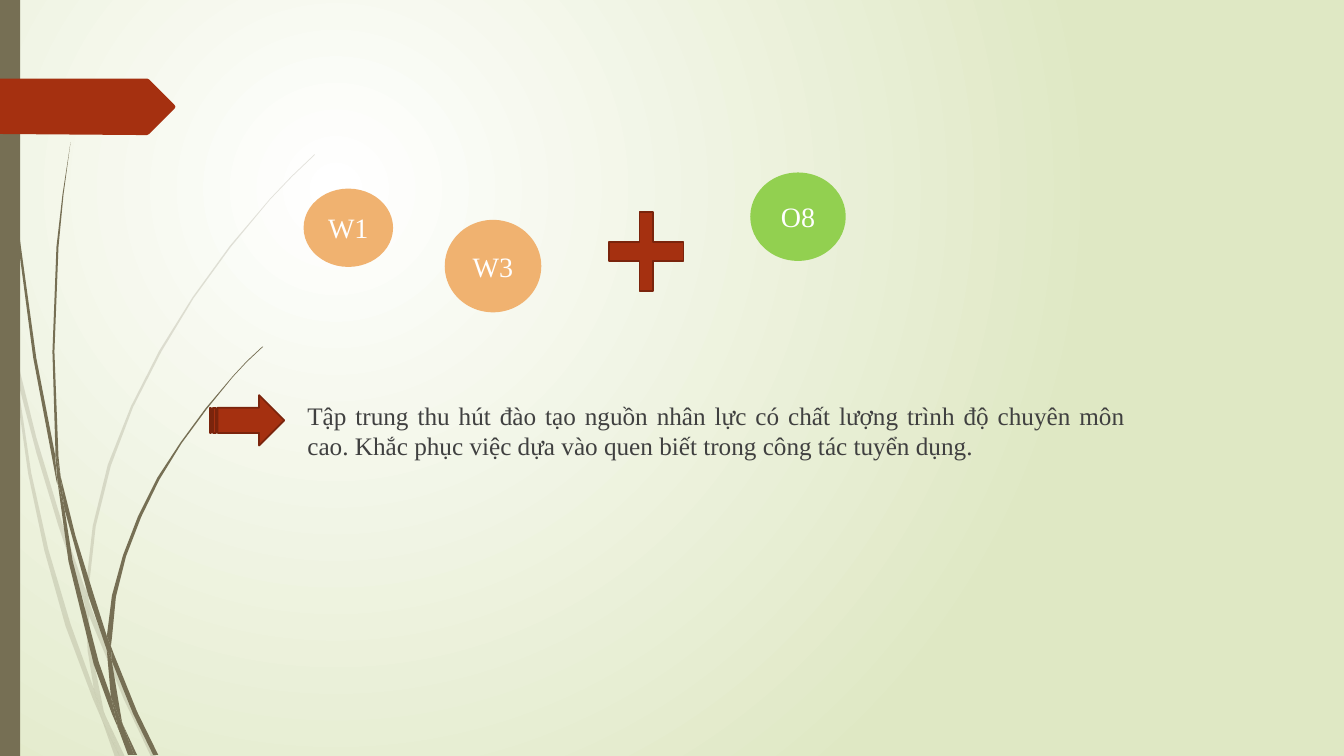
from lxml import etree
from pptx import Presentation
from pptx import util as u
from pptx.dml.color import RGBColor
from pptx.enum import shapes, text
from pptx.oxml.ns import qn

PX = 9144  # EMU in one px (100 px to the inch)
WIDTH, HEIGHT = 1333, 750
FONT = "Times New Roman"
COLORS = {
    "white": "FFFFFF", "sage": "DFE8C4", "olive": "766F54", "rust": "A53010",
    "dark rust": "7A240C", "orange": "F0B270", "green": "92D050", "ink": "404040",
}

STRATEGY = ("Tập trung thu hút đào tạo nguồn nhân lực có chất lượng trình độ "
            "chuyên môn cao. Khắc phục việc dựa vào quen biết trong công tác tuyển dụng.")
STRATEGY_BOX = (295, 392, 831, 114)

# kind, (left, top, width, height), fill, line, label
OVAL = shapes.MSO_SHAPE.OVAL
PLUS = shapes.MSO_SHAPE.CROSS
ARROW = shapes.MSO_SHAPE.STRIPED_RIGHT_ARROW
PLUS_ADJ = 0.41
SIGNS = [
    (OVAL, (442, 219, 94, 90), "orange", "orange", "W3"),
    (PLUS, (604, 210, 74, 79), "rust", "dark rust", ""),
    (OVAL, (302, 188, 87, 76), "orange", "orange", "W1"),
    (OVAL, (745, 172, 93, 86), "green", "green", "O8"),
    (ARROW, (208, 392, 74, 50), "rust", "dark rust", ""),
]
STRIP_BOX = (0, 0, 20, HEIGHT)
PENNANT = [(173, 108), (148, 133), (146, 134), (136, 134), (0, 133), (0, 78),
           (136, 78), (146, 78), (148, 79), (173, 104), (174, 106)]

# Grass: each blade is made of joined pieces, given by their corners
PALE_GRASS = [
    [(11, 350), (9, 322), (0, 282), (0, 299), (10, 344)],
    [(58, 522), (84, 599), (85, 586), (62, 520), (36, 434), (14, 345),
     (17, 376), (36, 449)],
    [(92, 607), (88, 596), (88, 610), (123, 694), (150, 751), (155, 751), (127, 692)],
    [(119, 751), (124, 751), (105, 711)],
    [(93, 683), (70, 619), (48, 545), (31, 469), (17, 376), (11, 350), (28, 470),
     (44, 546), (65, 621), (92, 693), (101, 714), (99, 707)],
    [(84, 599), (87, 646), (93, 683), (96, 692), (105, 711), (103, 706),
     (91, 646), (88, 610), (88, 608)],
    [(88, 584), (95, 522), (110, 462), (132, 404), (160, 349), (192, 296),
     (229, 245), (268, 198), (290, 175), (312, 154), (312, 153), (289, 175),
     (268, 197), (228, 244), (191, 295), (158, 348), (130, 403), (107, 461),
     (92, 522), (85, 584), (85, 586), (88, 596)],
    [(101, 714), (114, 751), (119, 751)],
    [(88, 608), (88, 610), (88, 596), (85, 586), (84, 599)],
    [(96, 692), (93, 683), (99, 707), (101, 714), (119, 751), (105, 711)],
]
DARK_GRASS = [
    [(7, 110), (17, 233), (33, 355), (56, 477), (57, 481), (55, 457), (55, 453),
     (36, 355), (19, 232), (8, 109), (5, 48), (4, 0), (3, 0), (4, 48)],
    [(88, 592), (106, 645), (106, 633), (106, 631), (93, 590), (75, 532),
     (60, 472), (64, 505)],
    [(113, 649), (110, 641), (111, 656), (132, 708), (152, 749), (157, 749), (136, 706)],
    [(110, 691), (98, 657), (72, 556), (64, 505), (57, 477), (68, 557), (93, 659),
     (111, 708), (117, 722), (116, 717)],
    [(60, 472), (58, 453), (54, 349), (58, 245), (63, 193), (70, 141), (62, 193),
     (56, 245), (52, 349), (55, 449)],
    [(133, 749), (136, 749), (122, 719)],
    [(57, 477), (64, 505), (60, 472), (55, 449), (55, 453)],
    [(111, 633), (115, 592), (125, 552), (140, 513), (158, 476), (180, 440),
     (205, 406), (231, 374), (245, 359), (261, 344), (260, 344), (245, 358),
     (231, 373), (204, 405), (179, 439), (156, 474), (137, 512), (122, 551),
     (111, 591), (106, 631), (110, 641)],
    [(117, 722), (127, 749), (131, 749)],
    [(106, 645), (110, 691), (116, 706), (122, 719), (121, 716), (111, 656), (109, 651)],
    [(106, 645), (109, 651), (111, 656), (110, 641), (106, 631), (106, 633)],
    [(116, 706), (110, 691), (116, 717), (117, 722), (130, 749), (133, 749), (122, 719)],
]


def rgb(name):
    return RGBColor.from_string(COLORS[name])


def emu(box):
    return [v * PX for v in box]


def paint(sp, fill, line=None):
    sp.shadow.inherit = False
    sp.fill.solid()
    sp.fill.fore_color.rgb = rgb(fill)
    if line:
        sp.line.color.rgb = rgb(line)
        sp.line.width = u.Pt(1.25)
    else:
        sp.line.fill.background()
    return sp


def add_preset(s, kind, box, fill, line=None):
    return paint(s.shapes.add_shape(kind, *emu(box)), fill, line)


def add_outline(parent, points, fill):
    (x, y), *rest = points
    builder = parent.shapes.build_freeform(x, y, scale=PX)
    builder.add_line_segments(rest, close=True)
    return paint(builder.convert_to_shape(), fill)


def add_grass(s, pieces, alpha=None):
    group = s.shapes.add_group_shape()
    for points in pieces:
        sp = add_outline(group, points, "olive")
        if alpha:
            color = sp.element.spPr.find(qn("a:solidFill"))[0]
            etree.SubElement(color, qn("a:alpha"), val=str(alpha))


def write(sp, words, size, color, align):
    p = sp.text_frame.paragraphs[0]
    p.text = words
    p.alignment = align
    r = p.runs[0]
    r.font.size = u.Pt(size)
    r.font.name = FONT
    r.font.color.rgb = rgb(color)


def set_background(s):
    """Fill the background with a circular gradient centred at a quarter."""
    fill = s.background.fill
    fill.gradient()
    for stop, color in zip(fill.gradient_stops, ("white", "sage")):
        stop.color.rgb = rgb(color)
    grad = s.element.find(".//" + qn("a:gradFill"))
    grad.remove(grad.find(qn("a:lin")))
    circle = etree.SubElement(grad, qn("a:path"), path="circle")
    etree.SubElement(circle, qn("a:fillToRect"),
                     l="50000", t="50000", r="100000", b="100000")


def main():
    prs = Presentation()
    prs.slide_width, prs.slide_height = emu((WIDTH, HEIGHT))
    s = prs.slides.add_slide(prs.slide_layouts[6])
    set_background(s)

    add_grass(s, PALE_GRASS, alpha=20000)
    add_grass(s, DARK_GRASS)
    add_preset(s, shapes.MSO_SHAPE.RECTANGLE, STRIP_BOX, "olive")
    add_outline(s, PENNANT, "rust")

    sp = s.shapes.add_textbox(*emu(STRATEGY_BOX))
    sp.text_frame.word_wrap = True
    write(sp, STRATEGY, 18, "ink", text.PP_ALIGN.JUSTIFY)

    for kind, box, fill, line, label in SIGNS:
        sp = add_preset(s, kind, box, fill, line)
        if kind == PLUS:
            sp.adjustments[0] = PLUS_ADJ
        if label:
            sp.text_frame.word_wrap = False
            sp.text_frame.vertical_anchor = text.MSO_ANCHOR.MIDDLE
            write(sp, label, 20, "white", text.PP_ALIGN.CENTER)

    prs.save("out.pptx")


if __name__ == "__main__":
    main()
